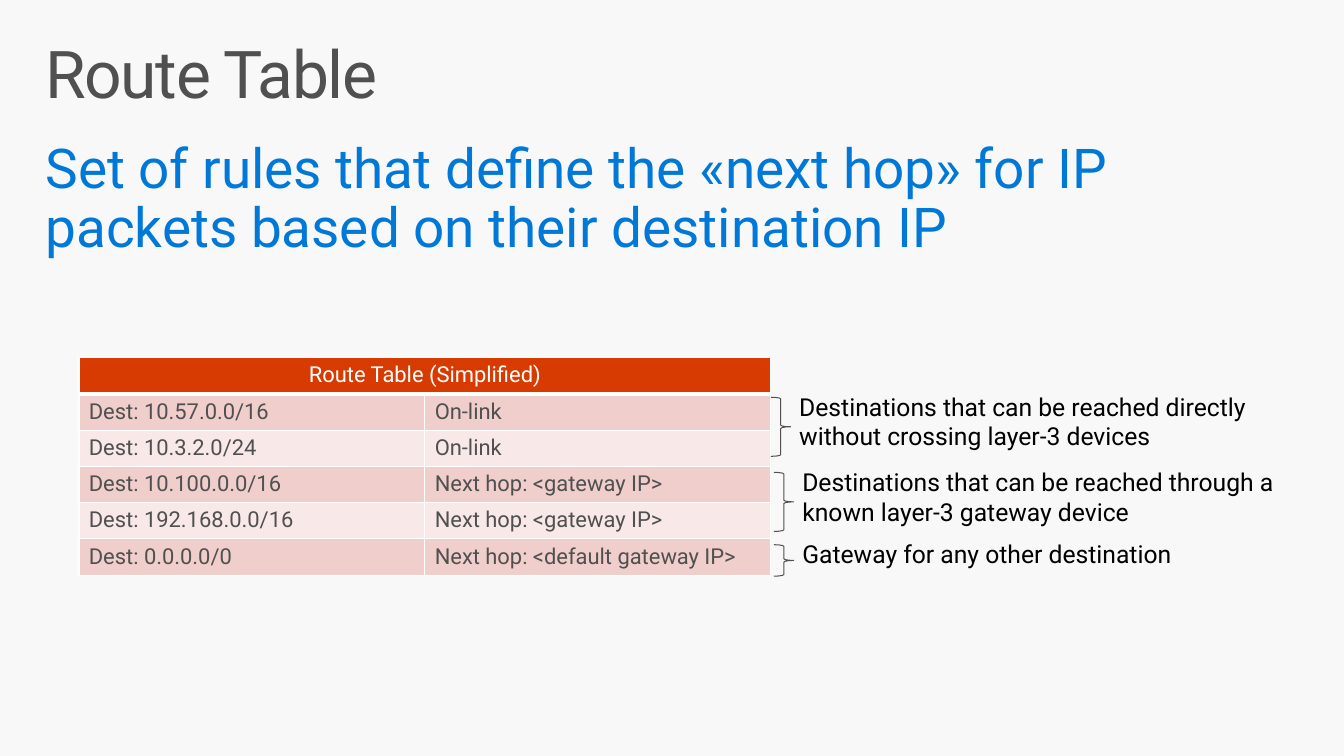
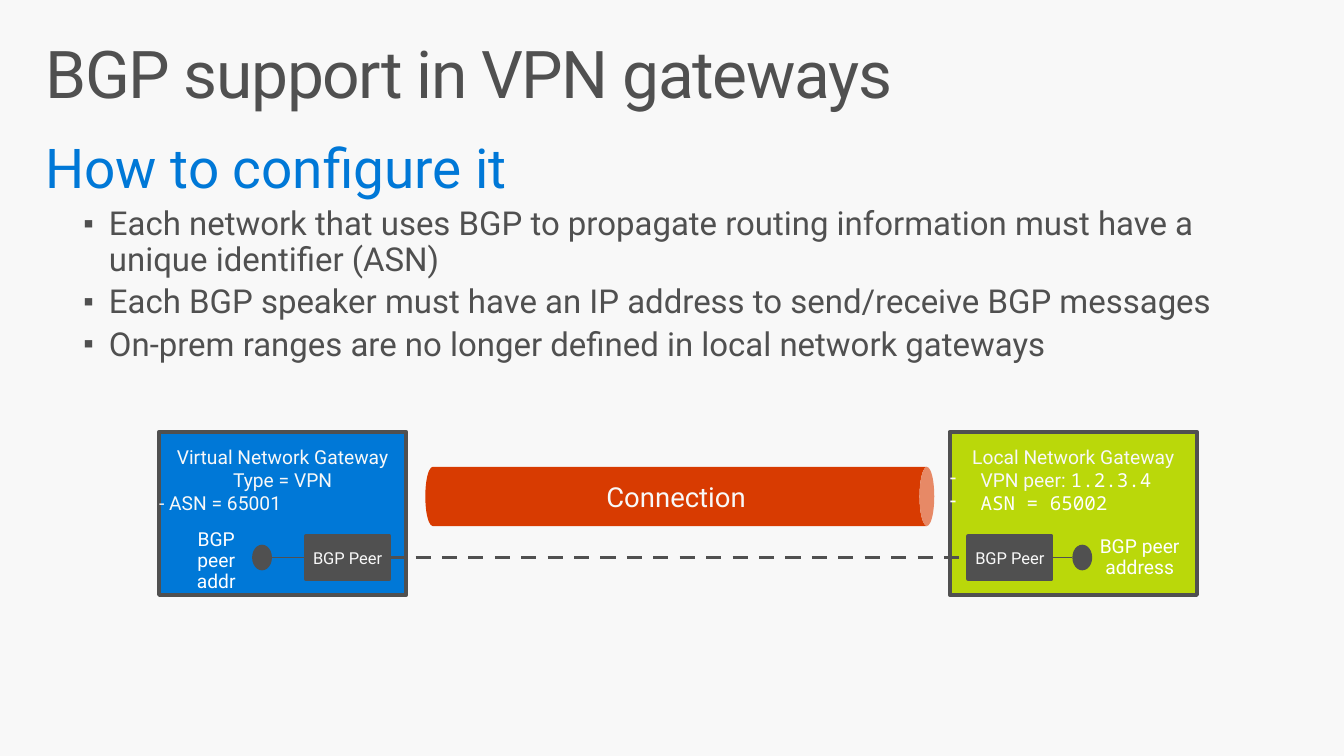
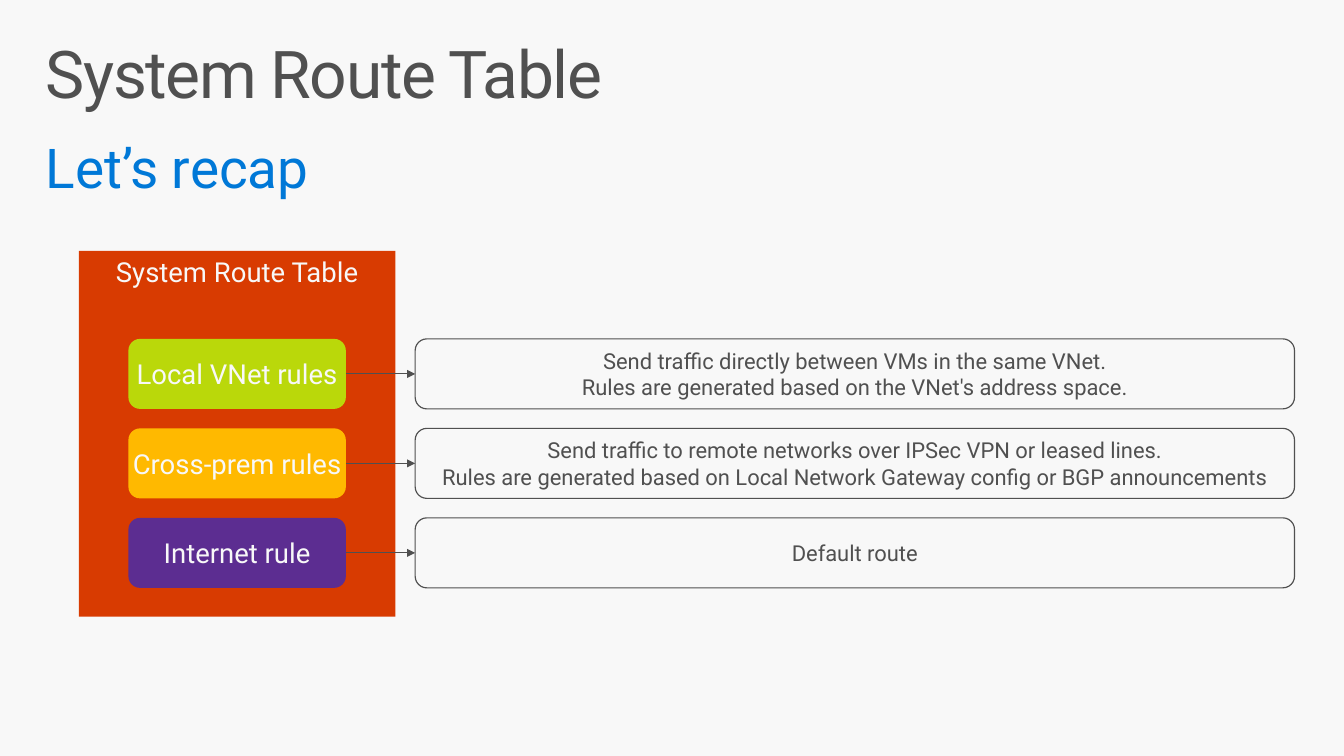
from dataclasses import dataclass

import lxml.etree
import pptx
import pptx.dml.color
import pptx.enum.dml
import pptx.enum.shapes
import pptx.enum.text
import pptx.oxml.ns
import pptx.util

Cm = pptx.util.Cm
Pt = pptx.util.Pt
Shape = pptx.enum.shapes.MSO_SHAPE
Anchor = pptx.enum.text.MSO_ANCHOR
Align = pptx.enum.text.PP_ALIGN
Fit = pptx.enum.text.MSO_AUTO_SIZE
qn = pptx.oxml.ns.qn


@dataclass(frozen=True)
class Theme:
    font: str = "Roboto"
    mono: str = "Noto Sans Mono"
    background: str = "F8F8F8"
    light: str = "F8F8F8"
    white: str = "FFFFFF"
    black: str = "000000"
    gray: str = "505050"
    blue: str = "0078D7"
    orange: str = "D83B01"
    green: str = "BAD80A"
    yellow: str = "FFB900"
    purple: str = "5C2D91"
    band_dark: str = "F0CECC"
    band_light: str = "F8E8E7"
    title: int = 48
    heading: int = 40
    bullet: int = 24
    block: int = 20
    note: int = 18
    detail: int = 16
    label: int = 14
    small: int = 12


THEME = Theme()


def rgb(color):
    return pptx.dml.color.RGBColor.from_string(color)


def set_bullet(paragraph, char, indent, percent=100):
    properties = paragraph._p.get_or_add_pPr()
    properties.set("marL", str(Cm(indent)))
    properties.set("indent", str(-Cm(indent if char == "-" else 0.66)))
    lxml.etree.SubElement(properties, qn("a:buSzPct"), val=str(percent * 1000))
    lxml.etree.SubElement(properties, qn("a:buChar"), char=char)


def style(paragraph, size, color, align=Align.LEFT, font=THEME.font):
    paragraph.alignment = align
    paragraph.font.name = font
    paragraph.font.size = Pt(size)
    paragraph.font.bold = False
    paragraph.font.color.rgb = rgb(color)


def add_text(frame, text):
    last = frame.paragraphs[-1]
    paragraph = frame.add_paragraph() if last.runs else last
    paragraph.add_run().text = text
    return paragraph


def set_margins(frame, across, down):
    frame.margin_left = frame.margin_right = Cm(across)
    frame.margin_top = frame.margin_bottom = Cm(down)


def place(placeholder, top, height):
    placeholder.left, placeholder.top = Cm(0.76), Cm(top)
    placeholder.width, placeholder.height = Cm(33.02), Cm(height)
    frame = placeholder.text_frame
    set_margins(frame, 0.41, 0.25)
    frame.vertical_anchor = Anchor.TOP
    return frame


def add_slide(deck, title, heading, body_height, bullets=()):
    slide = deck.slides.add_slide(deck.slide_layouts[1])
    title_frame = place(slide.shapes.title, 0.81, 2.54)
    title_frame.auto_size = Fit.NONE
    headline = add_text(title_frame, title)
    headline.line_spacing = 0.9
    style(headline, THEME.title, THEME.gray)
    headline._p.pPr.find(qn("a:defRPr")).set("spc", "-100")

    body = place(slide.placeholders[1], 3.38, body_height)
    body.auto_size = Fit.SHAPE_TO_FIT_TEXT
    lead = add_text(body, heading)
    properties = lead._p.get_or_add_pPr()
    properties.set("marL", "0")
    properties.set("indent", "0")
    lxml.etree.SubElement(properties, qn("a:buNone"))
    lead.line_spacing, lead.space_before = 0.9, Pt(0)
    style(lead, THEME.heading, THEME.blue)
    for bullet in bullets:
        item = add_text(body, bullet)
        item.level = 1
        set_bullet(item, "▪", 1.63, 90)
        item.line_spacing, item.space_before = 0.9, Pt(5)
        style(item, THEME.bullet, THEME.gray)
    return slide


def add_block(slide, kind, left, top, width, height, fill=None, line=None, line_width=0.75,
              lines=(), size=THEME.block, color=THEME.light):
    block = slide.shapes.add_shape(kind, Cm(left), Cm(top), Cm(width), Cm(height))
    block.shadow.inherit = False
    if fill:
        block.fill.solid()
        block.fill.fore_color.rgb = rgb(fill)
    else:
        block.fill.background()
    if line:
        block.line.color.rgb = rgb(line)
        block.line.width = Pt(line_width)
    else:
        block.line.fill.background()
    frame = block.text_frame
    frame.word_wrap = True
    frame.vertical_anchor = Anchor.MIDDLE
    set_margins(frame, 0, 0.13)
    for text in lines:
        style(add_text(frame, text), size, color, Align.CENTER)
    return block


def anchor_top(block, margin):
    block.text_frame.vertical_anchor = Anchor.TOP
    block.text_frame.margin_top = Cm(margin)


def add_label(slide, left, top, width, height, text, size, color):
    label = slide.shapes.add_textbox(Cm(left), Cm(top), Cm(width), Cm(height))
    frame = label.text_frame
    frame.word_wrap = True
    frame.auto_size = Fit.SHAPE_TO_FIT_TEXT
    paragraph = add_text(frame, text)
    style(paragraph, size, color)
    return frame, paragraph


def add_link(slide, start, start_side, end=None, end_side=None, point=(0, 0), width=0.75,
             dashed=False, arrow=False):
    x, y = point
    link = slide.shapes.add_connector(pptx.enum.shapes.MSO_CONNECTOR.STRAIGHT, x, y, x, y)
    link.begin_connect(start, start_side)
    if end is not None:
        link.end_connect(end, end_side)
    link.line.color.rgb = rgb(THEME.gray)
    link.line.width = Pt(width)
    if dashed:
        link.line.dash_style = pptx.enum.dml.MSO_LINE.DASH
    properties = link._element.spPr
    if arrow:
        lxml.etree.SubElement(properties.find(qn("a:ln")), qn("a:tailEnd"), type="triangle")
    lxml.etree.SubElement(properties, qn("a:effectLst"))


def format_cell(cell, text, fill, color, align, bottom=1):
    properties = cell._tc.get_or_add_tcPr()
    for side, width in (("L", 1), ("R", 1), ("T", 1), ("B", bottom)):
        border = lxml.etree.SubElement(properties, qn("a:ln" + side), w=str(Pt(width)))
        paint = lxml.etree.SubElement(border, qn("a:solidFill"))
        lxml.etree.SubElement(paint, qn("a:srgbClr"), val=THEME.white)
    cell.fill.solid()
    cell.fill.fore_color.rgb = rgb(fill)
    if text:
        style(add_text(cell.text_frame, text), THEME.detail, color, align)


def add_route_table(slide, heading, routes):
    row_height = 0.93
    count = len(routes) + 1
    table = slide.shapes.add_table(
        count, 2, Cm(2.03), Cm(9.19), Cm(17.78), Cm(row_height * count)).table
    table.horz_banding = False
    for row in table.rows:
        row.height = Cm(row_height)
    for column, text in enumerate((heading, "")):
        format_cell(table.cell(0, column), text, THEME.orange, THEME.white, Align.CENTER, 3)
    table.cell(0, 0).merge(table.cell(0, 1))
    for index, route in enumerate(routes, 1):
        band = THEME.band_dark if index % 2 else THEME.band_light
        for column, text in enumerate(route):
            format_cell(table.cell(index, column), text, band, THEME.gray, Align.LEFT)


def build_route_table(deck):
    slide = add_slide(
        deck, "Route Table",
        "Set of rules that define the «next hop» for IP packets based on their destination IP",
        3.58)
    add_route_table(slide, "Route Table (Simplified)", (
        ("Dest: 10.57.0.0/16", "On-link"),
        ("Dest: 10.3.2.0/24", "On-link"),
        ("Dest: 10.100.0.0/16", "Next hop: <gateway IP>"),
        ("Dest: 192.168.0.0/16", "Next hop: <gateway IP>"),
        ("Dest: 0.0.0.0/0", "Next hop: <default gateway IP>"),
    ))
    notes = (
        (19.81, 10.21, 1.52, 1.8,
         "Destinations that can be reached directly without crossing layer-3 devices"),
        (19.89, 12.14, 1.52, 1.8,
         "Destinations that can be reached through a known layer-3 gateway device"),
        (19.89, 14.0, 0.81, 1.02, "Gateway for any other destination"),
    )
    for left, top, brace_height, note_height, note in notes:
        add_block(slide, Shape.RIGHT_BRACE, left, top, 0.51, brace_height, line=THEME.gray)
        add_label(slide, left + 0.48, top - 0.27, 13.23, note_height, note,
                  THEME.note, THEME.black)


def add_gateway(slide, left, fill, lines):
    gateway = add_block(slide, Shape.RECTANGLE, left, 11.1, 6.35, 4.19, fill, THEME.gray, 3,
                        lines, THEME.label)
    anchor_top(gateway, 0.34)
    return gateway.text_frame


def add_peer(slide, left, side, dot_left):
    peer = add_block(slide, Shape.RECTANGLE, left, 13.77, 2.13, 1.12, THEME.gray, THEME.gray, 3,
                     ["BGP Peer"], THEME.small)
    dot = add_block(slide, Shape.OVAL, dot_left, 14.0, 0.51, 0.66, THEME.gray)
    near_edge = dot.left + dot.width if side == 1 else dot.left
    add_link(slide, peer, side, point=(near_edge, dot.top + dot.height // 2))
    return peer


def add_address(slide, left, top, width, height, text):
    frame, address = add_label(slide, left, top, width, height, text, THEME.label, THEME.white)
    set_margins(frame, 0.51, 0.41)
    address.alignment = Align.CENTER
    address.line_spacing, address.space_after = 0.9, Pt(6)


def build_bgp_support(deck):
    slide = add_slide(deck, "BGP support in VPN gateways", "How to configure it", 6.35, (
        "Each network that uses BGP to propagate routing information must have a unique "
        "identifier (ASN)",
        "Each BGP speaker must have an IP address to send/receive BGP messages",
        "On-prem ranges are no longer defined in local network gateways",
    ))
    virtual_gateway = add_gateway(slide, 4.09, THEME.blue,
                                  ("Virtual Network Gateway", "Type = VPN"))
    style(add_text(virtual_gateway, "- ASN = 65001"), THEME.label, THEME.light)

    local_gateway = add_gateway(slide, 24.41, THEME.green, ("Local Network Gateway",))
    vpn_peer = add_text(local_gateway, "VPN peer: ")
    set_bullet(vpn_peer, "-", 0.79)
    style(vpn_peer, THEME.label, THEME.light)
    address = vpn_peer.add_run()
    address.text = "1.2.3.4"
    address.font.name = THEME.mono
    address.font.color.rgb = rgb(THEME.white)
    asn = add_text(local_gateway, "ASN = 65002")
    set_bullet(asn, "-", 0.79)
    style(asn, THEME.label, THEME.white, font=THEME.mono)

    tunnel = add_block(slide, Shape.CAN, 16.71, 6.22, 1.52, 13.08, THEME.orange,
                       lines=["Connection"])
    tunnel.rotation = 90
    tunnel.text_frame._txBody.bodyPr.set("vert", "vert270")

    virtual_peer = add_peer(slide, 7.87, 1, 6.48)
    local_peer = add_peer(slide, 24.89, 3, 27.56)
    add_address(slide, 4.24, 13.21, 2.64, 2.44, "BGP peer addr")
    add_address(slide, 27.64, 13.39, 3.3, 1.9, "BGP peer address")
    add_link(slide, virtual_peer, 3, local_peer, 1, width=2.75, dashed=True)


def build_system_routes(deck):
    slide = add_slide(deck, "System Route Table", "Let’s recap", 3.18)
    panel = add_block(slide, Shape.RECTANGLE, 2.03, 6.45, 8.13, 9.4, THEME.orange,
                      lines=["System Route Table"])
    anchor_top(panel, 0.1)
    rules = (
        ("Local VNet rules", THEME.green,
         ("Send traffic directly between VMs in the same VNet.",
          "Rules are generated based on the VNet's address space.")),
        ("Cross-prem rules", THEME.yellow,
         ("Send traffic to remote networks over IPSec VPN or leased lines.",
          "Rules are generated based on Local Network Gateway config or BGP announcements")),
        ("Internet rule", THEME.purple, ("Default route",)),
    )
    for index, (name, fill, effect) in enumerate(rules):
        top = 8.71 + index * 2.3
        rule = add_block(slide, Shape.ROUNDED_RECTANGLE, 3.3, top, 5.59, 1.8, fill, lines=[name])
        outcome = add_block(slide, Shape.ROUNDED_RECTANGLE, 10.67, top, 22.6, 1.8,
                            line=THEME.gray, line_width=0.85, lines=effect,
                            size=THEME.detail, color=THEME.gray)
        add_link(slide, rule, 3, outcome, 1, arrow=True)


def main():
    deck = pptx.Presentation()
    deck.slide_width, deck.slide_height = Cm(34.54), Cm(19.43)
    backdrop = deck.slide_master.background.fill
    backdrop.solid()
    backdrop.fore_color.rgb = rgb(THEME.background)
    build_route_table(deck)
    build_bgp_support(deck)
    build_system_routes(deck)
    deck.save("out.pptx")


if __name__ == "__main__":
    main()
